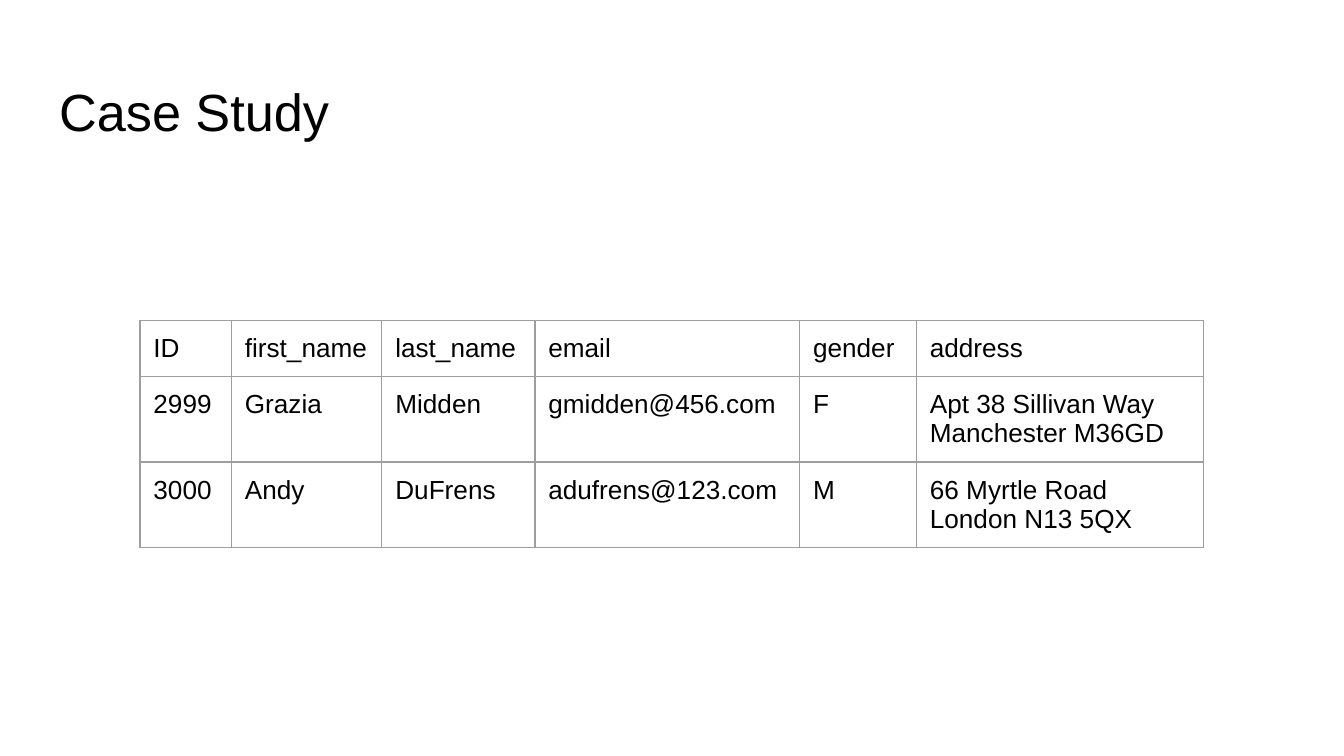
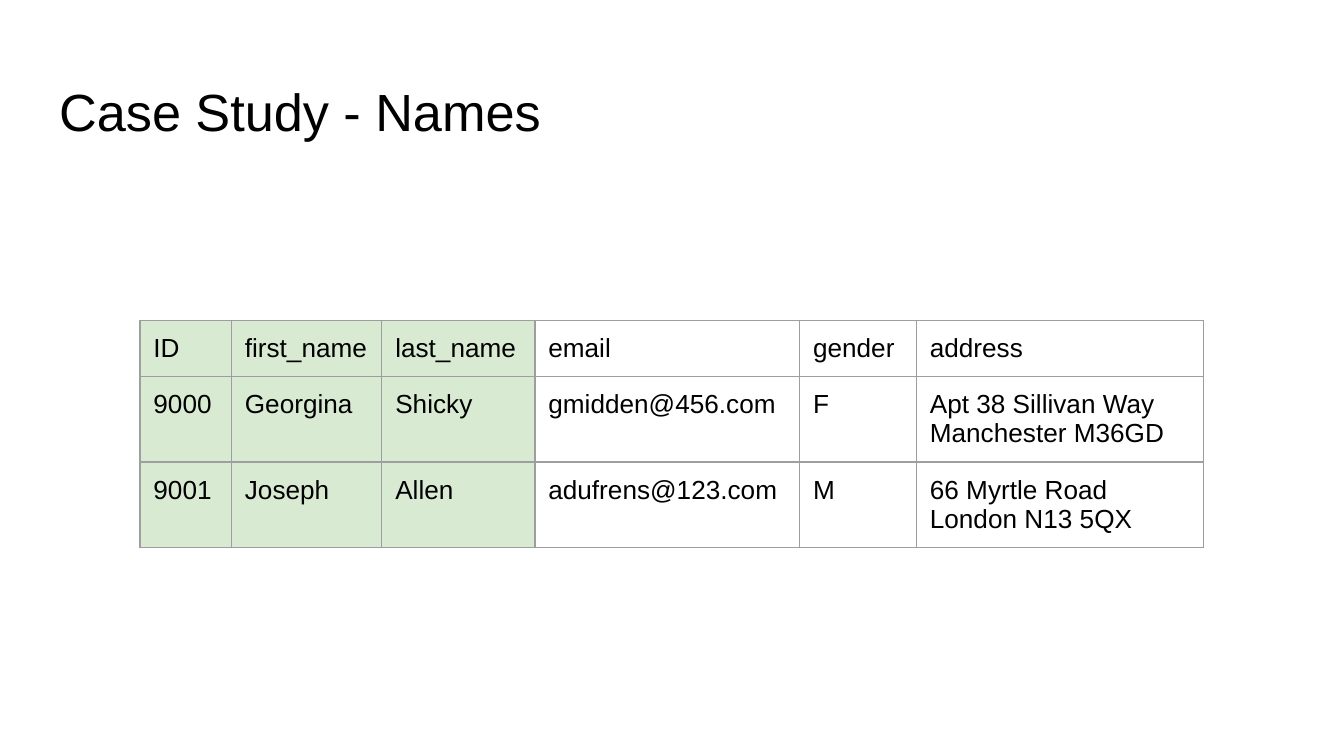
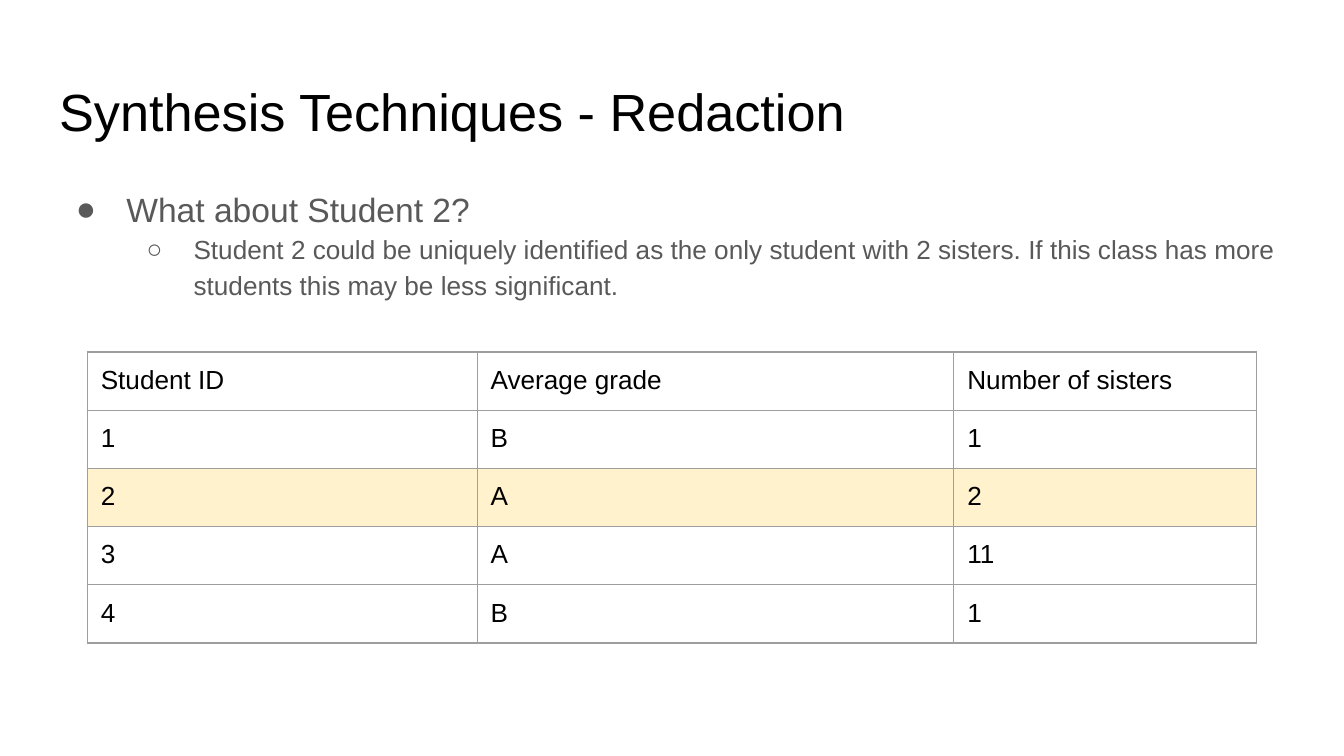
"""Build three slides on synthetic data: two case study tables and a redaction example."""
import pptx
import pptx.dml.color
import pptx.enum.text
import pptx.oxml
import pptx.oxml.ns
import pptx.util
from lxml import etree

Pt = pptx.util.Pt
FONT = "Arial"
BLACK, GREY, BORDER = "000000", "595959", "9E9E9E"
GREEN, YELLOW = "D9EAD3", "FFF2CC"
MARGIN = 7.2
LEFT, WIDTH = 24.5, 671
TITLE_ONLY, TITLE_AND_BODY = 5, 1

PEOPLE_FIELDS = ["ID", "first_name", "last_name", "email", "gender", "address"]
PEOPLE_WIDTHS = [49, 80.6, 82, 141.8, 62.6, 154]
CONTACTS = [
    ["gmidden@456.com", "F", "Apt 38 Sillivan Way Manchester M36GD"],
    ["adufrens@123.com", "M", "66 Myrtle Road London N13 5QX"],
]
REAL_NAMES = [["2999", "Grazia", "Midden"], ["3000", "Andy", "DuFrens"]]
SYNTHETIC_NAMES = [["9000", "Georgina", "Shicky"], ["9001", "Joseph", "Allen"]]
STUDENTS = [
    ["Student ID", "Average grade", "Number of sisters"],
    ["1", "B", "1"],
    ["2", "A", "2"],
    ["3", "A", "11"],
    ["4", "B", "1"],
]
POINTS = [
    ("What about Student 2?", 18, "●", 27),
    ("Student 2 could be uniquely identified as the only student with 2 sisters. "
     "If this class has more students this may be less significant.", 14, "○", 25.2),
]


def color(hex_value):
    return pptx.dml.color.RGBColor.from_string(hex_value)


def style(paragraph, size, hex_value):
    paragraph.font.name = FONT
    paragraph.font.size = Pt(size)
    paragraph.font.color.rgb = color(hex_value)


def set_margins(area):
    area.margin_left = area.margin_right = Pt(MARGIN)
    area.margin_top = area.margin_bottom = Pt(MARGIN)


def place(holder, top, height):
    holder.left, holder.top = Pt(LEFT), Pt(top)
    holder.width, holder.height = Pt(WIDTH), Pt(height)
    frame = holder.text_frame
    set_margins(frame)
    frame.word_wrap = True
    frame.auto_size = pptx.enum.text.MSO_AUTO_SIZE.NONE
    frame.vertical_anchor = pptx.enum.text.MSO_ANCHOR.TOP
    return frame


def add_slide(deck, layout, title):
    slide = deck.slides.add_slide(deck.slide_layouts[layout])
    heading = place(slide.shapes.title, 35.3, 45.4).paragraphs[0]
    heading.text = title
    heading.alignment = pptx.enum.text.PP_ALIGN.LEFT
    style(heading, 28, BLACK)
    return slide


def add_bullet(paragraph, symbol, indent, hanging):
    properties = paragraph._p.get_or_add_pPr()
    properties.set("marL", str(Pt(indent)))
    properties.set("indent", str(-Pt(hanging)))
    tag = pptx.oxml.ns.qn
    bullet_color = etree.SubElement(properties, tag("a:buClr"))
    etree.SubElement(bullet_color, tag("a:srgbClr"), val=GREY)
    etree.SubElement(properties, tag("a:buFont"), typeface=FONT)
    etree.SubElement(properties, tag("a:buChar"), char=symbol)


def add_points(slide, points):
    frame = place(slide.placeholders[1], 90.7, 269.3)
    for level, (text, size, symbol, hanging) in enumerate(points):
        point = frame.add_paragraph() if level else frame.paragraphs[0]
        point.text = text
        point.level = level
        add_bullet(point, symbol, 36 * (level + 1), hanging)
        point.line_spacing = 1.15
        point.space_before = Pt(0)
        style(point, size, GREY)


def add_borders(cell):
    properties = cell._tc.get_or_add_tcPr()
    for side in "LRTB":
        properties.append(pptx.oxml.parse_xml(
            f'<a:ln{side} {pptx.oxml.ns.nsdecls("a")} w="{Pt(0.75)}">'
            f'<a:solidFill><a:srgbClr val="{BORDER}"/></a:solidFill></a:ln{side}>'))


def fill_cell(cell, text, fill):
    set_margins(cell)
    add_borders(cell)
    if fill:
        cell.fill.solid()
        cell.fill.fore_color.rgb = color(fill)
    else:
        cell.fill.background()
    paragraph = cell.text_frame.paragraphs[0]
    paragraph.text = text
    style(paragraph, 14, BLACK)


def add_grid(slide, left, top, widths, heights, rows, fill_at):
    table = slide.shapes.add_table(
        len(rows), len(widths), Pt(left), Pt(top), Pt(sum(widths)), Pt(sum(heights))).table
    table.first_row = table.horz_banding = False
    for column, width in zip(table.columns, widths):
        column.width = Pt(width)
    for row, height in zip(table.rows, heights):
        row.height = Pt(height)
    for r, values in enumerate(rows):
        for c, value in enumerate(values):
            fill_cell(table.cell(r, c), value, fill_at(r, c))


def add_people(deck, title, names, fill_at):
    rows = [PEOPLE_FIELDS] + [name + contact for name, contact in zip(names, CONTACTS)]
    slide = add_slide(deck, TITLE_ONLY, title)
    add_grid(slide, 75, 171.5, PEOPLE_WIDTHS, [30] * 3, rows, fill_at)


def main():
    deck = pptx.Presentation()
    deck.slide_width, deck.slide_height = Pt(720), Pt(405)
    add_people(deck, "Case Study", REAL_NAMES, lambda r, c: None)
    add_people(deck, "Case Study - Names", SYNTHETIC_NAMES,
               lambda r, c: GREEN if c < 3 else None)
    redaction = add_slide(deck, TITLE_AND_BODY, "Synthesis Techniques - Redaction")
    add_points(redaction, POINTS)
    add_grid(redaction, 46.8, 188.6, [208.8, 255.4, 162], [31.2] * 5, STUDENTS,
             lambda r, c: YELLOW if r == 2 else None)
    deck.save("out.pptx")


if __name__ == "__main__":
    main()
